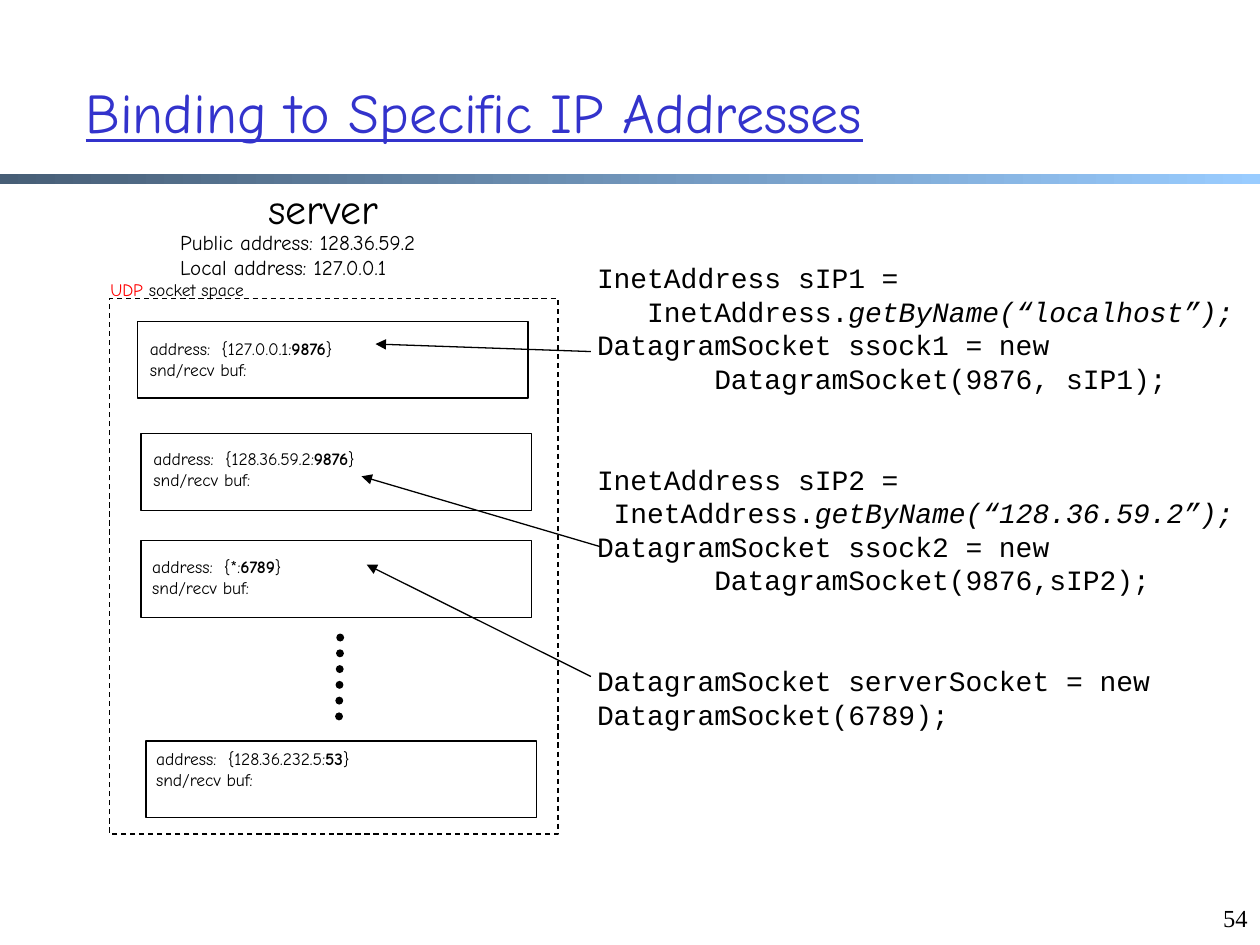
from lxml.etree import SubElement
from pptx import Presentation
from pptx.dml.color import RGBColor
from pptx.enum.dml import MSO_LINE
from pptx.enum.shapes import MSO_CONNECTOR, MSO_SHAPE
from pptx.enum.text import MSO_ANCHOR, PP_ALIGN
from pptx.oxml.ns import qn
from pptx.util import Pt

HAND, CODE, SERIF = "Comic Neue", "Courier New", "Times New Roman"
BLACK, BLUE, RED = "000000", "3333CC", "FF0000"
BAR = ("475E76", "99CCFF")

TITLE = "Binding to Specific IP Addresses"
HOST = ["Public address: 128.36.59.2", "Local address: 127.0.0.1"]
SPACE = (62.6, 170.6, 256.3, 306)
SOCKET = (223.2, 43.9)
TAB = 41
SOCKETS = [
    (78.5, 183.6, 78.5, 189.4, "127.0.0.1:", "9876"),
    (80.6, 247.7, 80.6, 252.7, "128.36.59.2:", "9876"),
    (80.6, 308.9, 79.9, 313.9, "*:", "6789"),
    (83.5, 423.4, 82.1, 424.1, "128.36.232.5:", "53"),
]
ARROWS = [
    (214.6, 196.6, 337.7, 200.9),
    (206.6, 272.2, 343.4, 312.5),
    (209.5, 322.6, 337.7, 386.6),
]
DOTS = (194.4, 364.3, 193.7, 412.6)
PITCH = 19.2
BLOCKS = [
    [
        ("InetAddress sIP1 =", ""),
        ("   InetAddress.", "getByName(“localhost”);"),
        ("DatagramSocket ssock1 = new", ""),
        ("       DatagramSocket(9876, sIP1);", ""),
    ],
    [
        ("InetAddress sIP2 =", ""),
        (" InetAddress.", "getByName(“128.36.59.2”);"),
        ("DatagramSocket ssock2 = new", ""),
        ("       DatagramSocket(9876,sIP2);", ""),
    ],
    [("DatagramSocket serverSocket = new DatagramSocket(6789);", "")],
]

deck = Presentation()
deck.slide_width, deck.slide_height = Pt(720), Pt(540)
slide = deck.slides.add_slide(deck.slide_layouts[6])


def color(code):
    return RGBColor.from_string(code)


def style(run, size, face=HAND, tint=BLACK):
    run.font.size = Pt(size)
    run.font.name = face
    run.font.color.rgb = color(tint)
    return run


def add_run(para, text, size, face=HAND, tint=BLACK):
    run = para.add_run()
    run.text = text
    return style(run, size, face, tint)


def add_text(place, lines=(), size=10, face=HAND, tint=BLACK,
             align=PP_ALIGN.LEFT, anchor=MSO_ANCHOR.TOP):
    frame = slide.shapes.add_textbox(*map(Pt, place)).text_frame
    frame.word_wrap = True
    frame.vertical_anchor = anchor
    frame.text = "\n".join(lines)
    for para in frame.paragraphs:
        para.alignment = align
        for run in para.runs:
            style(run, size, face, tint)
    return frame


def add_box(place, dash=None):
    box = slide.shapes.add_shape(MSO_SHAPE.RECTANGLE, *map(Pt, place))
    box.shadow.inherit = False
    box.fill.background()
    box.line.color.rgb = color(BLACK)
    box.line.width = Pt(0.75)
    if dash:
        box.line.dash_style = dash


def add_line(ends, width=0.75):
    link = slide.shapes.add_connector(MSO_CONNECTOR.STRAIGHT, *map(Pt, ends))
    link.line.color.rgb = color(BLACK)
    link.line.width = Pt(width)
    SubElement(link._element.spPr, qn("a:effectLst"))
    return link.line


def add_bar():
    bar = slide.shapes.add_shape(
        MSO_SHAPE.RECTANGLE, Pt(0), Pt(99.4), Pt(720), Pt(5.8))
    bar.shadow.inherit = False
    bar.line.fill.background()
    bar.fill.gradient()
    bar.fill.gradient_angle = 0
    for stop, code in zip(bar.fill.gradient_stops, BAR):
        stop.color.rgb = color(code)


def add_socket(left, top, text_left, text_top, host, port):
    add_box((left, top, *SOCKET))
    frame = add_text((text_left, text_top, 151, 31.7))
    para = frame.paragraphs[0]
    tabs = SubElement(para._p.get_or_add_pPr(), qn("a:tabLst"))
    SubElement(tabs, qn("a:tab"), pos=str(Pt(TAB)), algn="l")
    add_run(para, "address:\t{" + host, 10)
    add_run(para, port, 10).font.bold = True
    add_run(para, "}", 10)
    add_run(frame.add_paragraph(), "snd/recv buf:", 10)


def add_code():
    frame = add_text((334.1, 145.4, 385.9, 278.6))
    para = frame.paragraphs[0]
    for b, block in enumerate(BLOCKS):
        for n, (plain, slant) in enumerate(block):
            if b or n:
                para = frame.add_paragraph()
            para.line_spacing = Pt(PITCH)
            if b and not n:
                para.space_before = Pt(2 * PITCH)
            add_run(para, plain, 16, CODE)
            if slant:
                add_run(para, slant, 16, CODE).font.italic = True


add_bar()
add_text((684, 512.6, 36, 27), ["54"], 14, SERIF, align=PP_ALIGN.RIGHT)
title = add_text((41.8, 18.7, 650.9, 90), [TITLE], 32, tint=BLUE,
                 anchor=MSO_ANCHOR.MIDDLE)
title.paragraphs[0].runs[0].font.underline = True
add_text((141.1, 100.8, 87.1, 36), ["server"], 24,
         align=PP_ALIGN.CENTER, anchor=MSO_ANCHOR.MIDDLE)

add_box(SPACE, MSO_LINE.DASH)
label = add_text((52.6, 156.2, 97.2, 19.4), align=PP_ALIGN.CENTER)
add_run(label.paragraphs[0], "UDP", 10, tint=RED)
add_run(label.paragraphs[0], " socket space", 10)
add_text((95.8, 127.4, 169.2, 36.7), HOST, 12)

for socket in SOCKETS:
    add_socket(*socket)

dots = add_line(DOTS, 4.5)
dots.dash_style = MSO_LINE.ROUND_DOT
dots._ln.set("cap", "rnd")

add_code()
for ends in ARROWS:
    SubElement(add_line(ends)._ln, qn("a:headEnd"), type="triangle")

deck.save("out.pptx")
